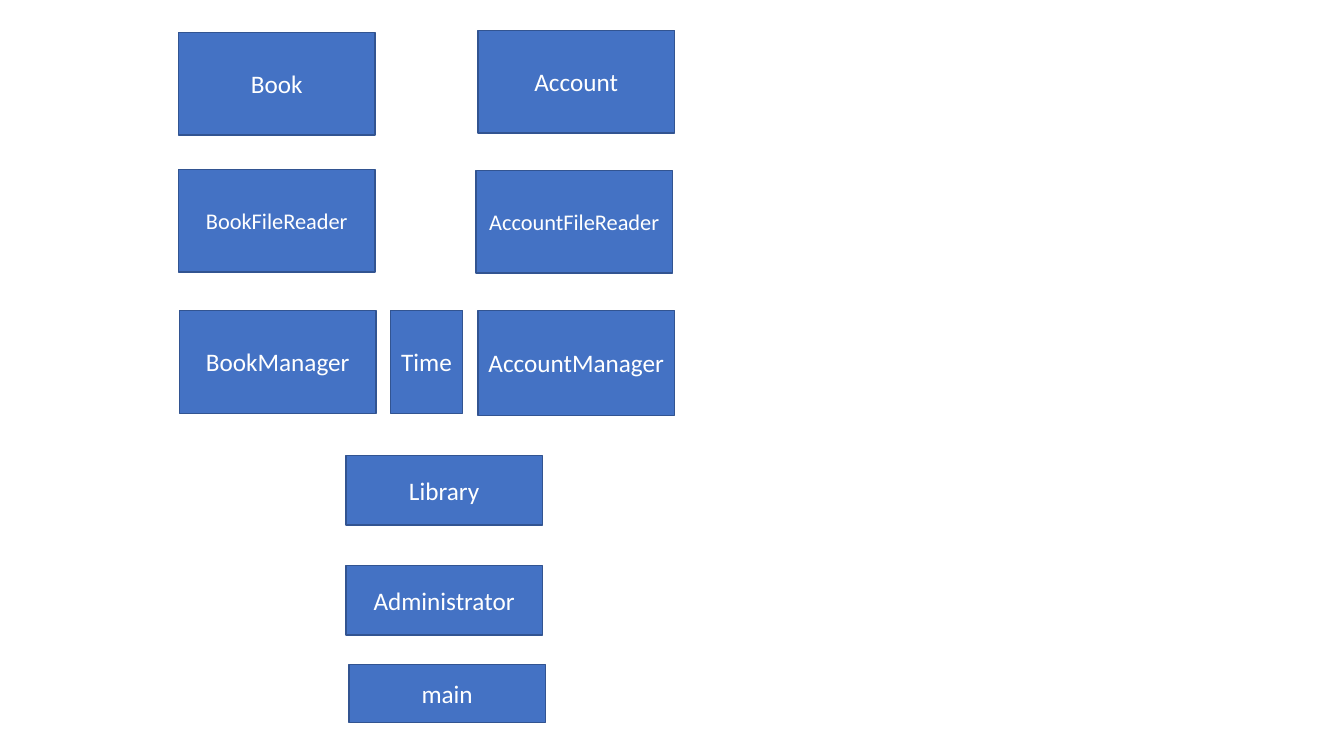
import pptx
import pptx.util
import pptx.dml.color
import pptx.enum.shapes
import pptx.enum.text

Inches = pptx.util.Inches
Pt = pptx.util.Pt
FILL = pptx.dml.color.RGBColor(0x44, 0x72, 0xC4)
LINE = pptx.dml.color.RGBColor(0x32, 0x54, 0x91)
WHITE = pptx.dml.color.RGBColor(0xFF, 0xFF, 0xFF)

prs = pptx.Presentation()
prs.slide_width = Inches(13.33)
prs.slide_height = Inches(7.5)
s = prs.slides.add_slide(prs.slide_layouts[6])

BOOK, MIDDLE, TIME, ACCOUNT = 1.77, 3.43, 3.87, 4.74
DATA, READER, MANAGER, LIBRARY, ADMIN, MAIN = 0.32, 1.68, 3.08, 4.52, 5.61, 6.59
WIDE, NARROW = 1.95, 0.72
TALL, SHORT, LOW = 1.02, 0.69, 0.58

classes = [
    ("Book", BOOK, DATA, WIDE, TALL, 18),
    ("Account", ACCOUNT, DATA - 0.02, WIDE, TALL, 18),
    ("BookManager", BOOK + 0.01, MANAGER, WIDE, TALL, 18),
    ("BookFileReader", BOOK, READER, WIDE, TALL, 16),
    ("AccountManager", ACCOUNT, MANAGER, WIDE, TALL + 0.02, 18),
    ("AccountFileReader", ACCOUNT - 0.02, READER + 0.01, WIDE, TALL, 16),
    ("Library", MIDDLE, LIBRARY, WIDE, SHORT, 18),
    ("Administrator", MIDDLE, ADMIN, WIDE, SHORT, 18),
    ("Time", TIME, MANAGER, NARROW, TALL, 18),
    ("main", MIDDLE + 0.03, MAIN, WIDE, LOW, 18),
]

for name, left, top, width, height, size in classes:
    sp = s.shapes.add_shape(
        pptx.enum.shapes.MSO_SHAPE.RECTANGLE,
        Inches(left), Inches(top), Inches(width), Inches(height))
    sp.shadow.inherit = False
    sp.fill.solid()
    sp.fill.fore_color.rgb = FILL
    sp.line.color.rgb = LINE
    sp.line.width = Pt(1)
    tf = sp.text_frame
    tf.word_wrap = True
    tf.margin_left = tf.margin_right = Inches(0.05)
    tf.vertical_anchor = pptx.enum.text.MSO_ANCHOR.MIDDLE
    p = tf.paragraphs[0]
    p.alignment = pptx.enum.text.PP_ALIGN.CENTER
    r = p.add_run()
    r.text = name
    r.font.name = "Calibri"
    r.font.size = Pt(size)
    r.font.color.rgb = WHITE

prs.save("out.pptx")
